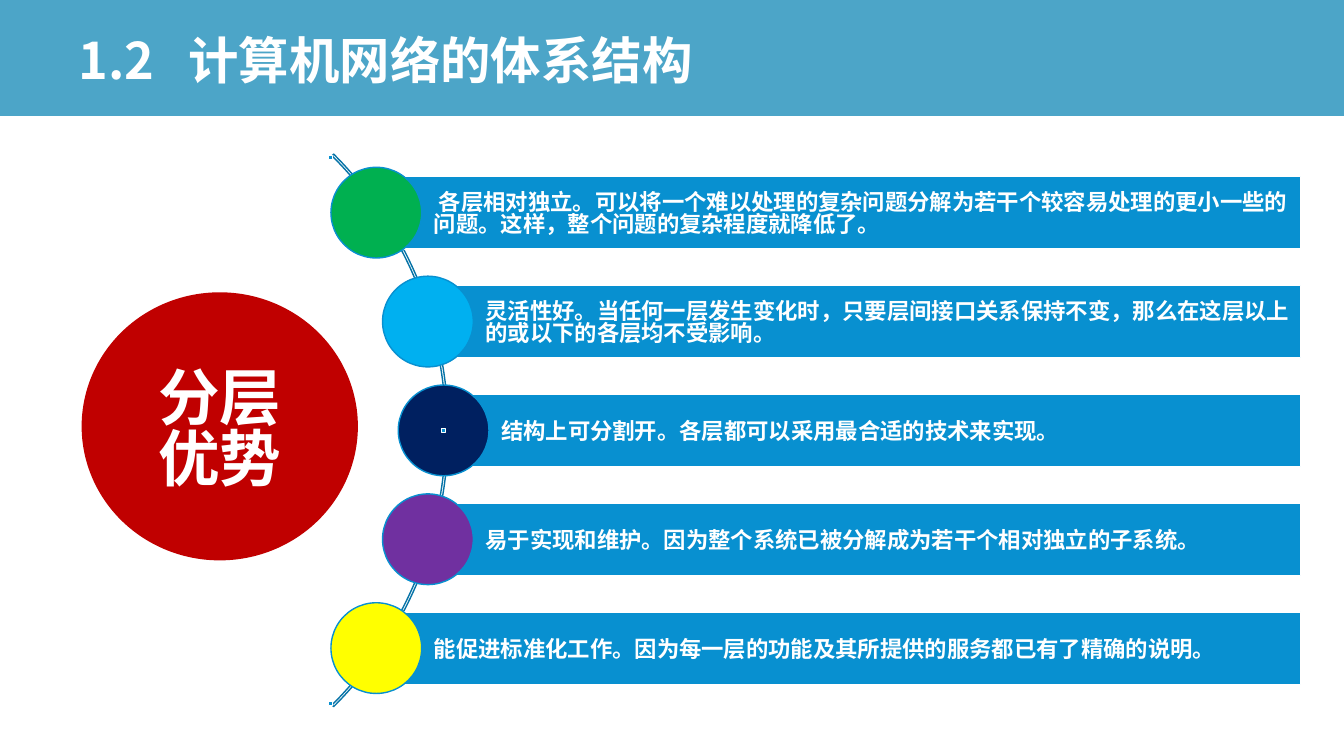
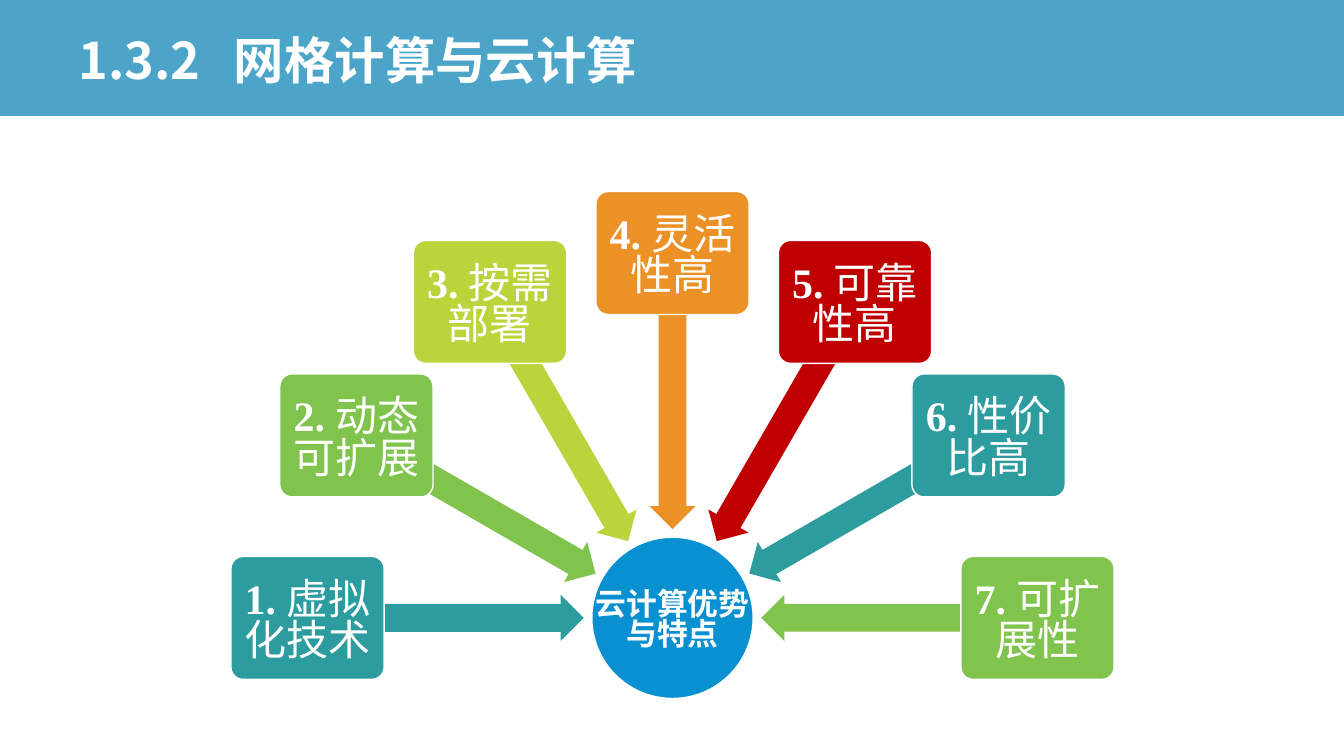
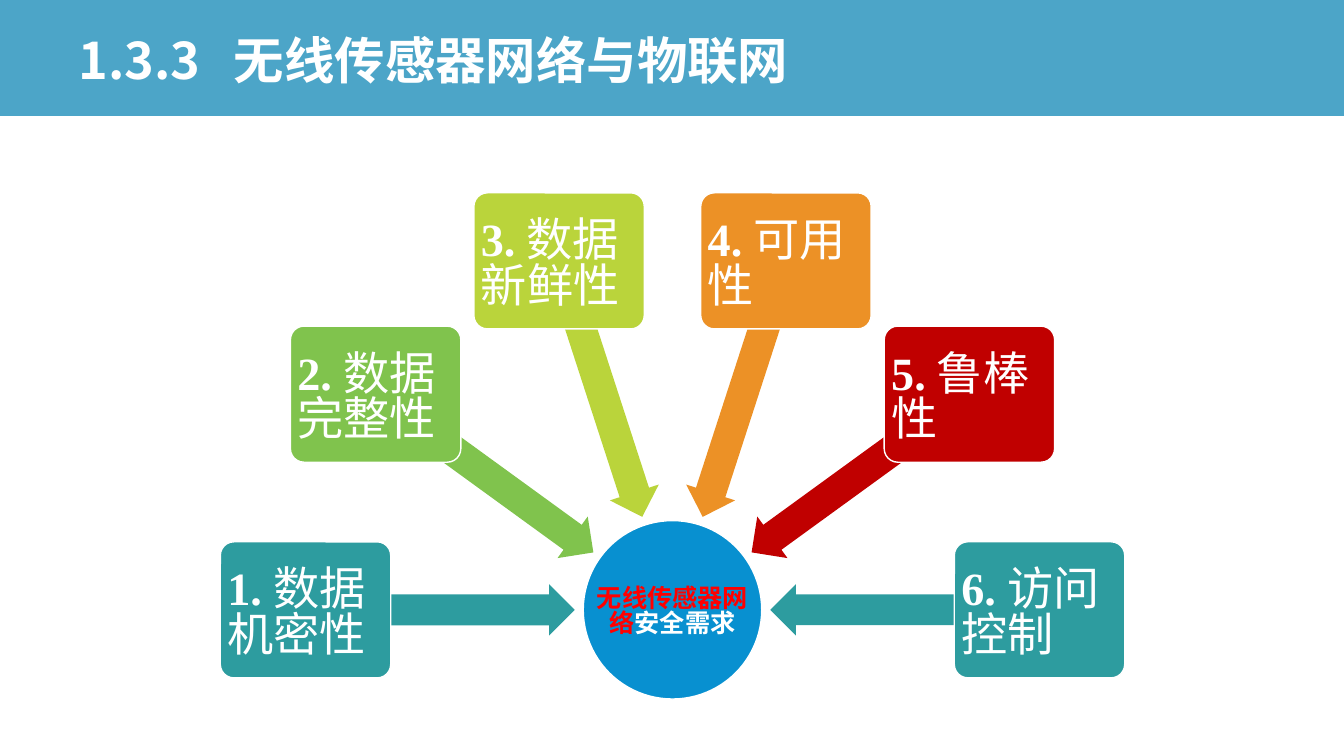
"""Builds three slides on network layering, cloud computing and sensor networks."""
from math import cos, radians, sin, sqrt

from lxml.etree import SubElement
from pptx import Presentation
from pptx.dml.color import RGBColor
from pptx.enum.shapes import MSO_SHAPE as Preset
from pptx.enum.text import MSO_ANCHOR as Anchor, PP_ALIGN as Align
from pptx.oxml.ns import qn
from pptx.util import Inches, Pt

COLORS = {
    "band": "0080B2", "blue": "0890D0", "arc": "0673A7", "white": "FFFFFF",
    "teal": "2D9C9F", "green": "80C34D", "lime": "BAD43B", "orange": "EC9126",
    "crimson": "C00000", "red": "FF0000", "emerald": "00B050", "sky": "00B0F0",
    "navy": "002060", "purple": "7030A0", "yellow": "FFFF00",
}
SERIF, SANS = "Times New Roman", "Noto Sans CJK SC"

ADVANTAGES = [
    (" 各层相对独立。可以将一个难以处理的复杂问题分解为若干个较容易处理的更小一些的问题。这样，整个问题的复杂程度就降低了。", "emerald"),
    ("灵活性好。当任何一层发生变化时，只要层间接口关系保持不变，那么在这层以上的或以下的各层均不受影响。", "sky"),
    ("结构上可分割开。各层都可以采用最合适的技术来实现。", "navy"),
    ("易于实现和维护。因为整个系统已被分解成为若干个相对独立的子系统。", "purple"),
    ("能促进标准化工作。因为每一层的功能及其所提供的服务都已有了精确的说明。", "yellow"),
]
CLOUD_TRAITS = [
    ("虚拟化技术", "teal"), ("动态可扩展", "green"), ("按需部署", "lime"),
    ("灵活性高", "orange"), ("可靠性高", "crimson"), ("性价比高", "teal"),
    ("可扩展性", "green"),
]
SENSOR_NEEDS = [
    ("数据机密性", "teal"), ("数据完整性", "green"), ("数据新鲜性", "lime"),
    ("可用性", "orange"), ("鲁棒性", "crimson"), ("访问控制", "teal"),
]


class Deck:
    """Holds the shared style and the current slide."""

    def __init__(self):
        self.prs = Presentation()
        self.prs.slide_width, self.prs.slide_height = Inches(13.33), Inches(7.5)
        self.slide = None

    def new_slide(self, number, heading):
        self.slide = self.prs.slides.add_slide(self.prs.slide_layouts[6])
        band = self.shape(Preset.RECTANGLE, -0.01, -0.02, 13.35, 1.17, "band")
        tint = next(band._element.spPr.iter(qn("a:srgbClr")))
        SubElement(tint, qn("a:alpha"), val="70000")
        title = self.textbox(0.68, 0.19, 11.98, 0.87)
        line = title.text_frame.paragraphs[0]
        tabs = SubElement(line._p.get_or_add_pPr(), qn("a:tabLst"))
        gap = Inches(0.64 + 0.45 * number.count("."))
        SubElement(tabs, qn("a:tab"), pos=str(gap), algn="l")
        self.label(title, [(f"{number}\t{heading}", "white", True, SANS)], 36,
                   (0.1, 0.05, 0.1, 0.05), spacing=0.9)

    def shape(self, preset, left, top, width, height, fill=None, line=None, adjust=()):
        item = self.slide.shapes.add_shape(
            preset, Inches(left), Inches(top), Inches(width), Inches(height))
        item.shadow.inherit = False
        for index, value in enumerate(adjust):
            item.adjustments[index] = value
        if fill:
            item.fill.solid()
            item.fill.fore_color.rgb = RGBColor.from_string(COLORS[fill])
        else:
            item.fill.background()
        if line:
            item.line.color.rgb = RGBColor.from_string(COLORS[line])
            item.line.width = Pt(1)
        else:
            item.line.fill.background()
        return item

    def centered(self, preset, x, y, width, height, fill, line=None, adjust=()):
        return self.shape(preset, x - width / 2, y - height / 2, width, height,
                          fill, line, adjust)

    def textbox(self, left, top, width, height):
        return self.slide.shapes.add_textbox(
            Inches(left), Inches(top), Inches(width), Inches(height))

    def label(self, item, parts, size, insets, align=Align.LEFT, spacing=0.82):
        frame = item.text_frame
        frame.word_wrap = True
        frame.vertical_anchor = Anchor.MIDDLE
        left, top, right, bottom = insets
        if spacing < 0.9:
            top += 0.003 * size
        frame.margin_left, frame.margin_top = Inches(left), Inches(top)
        frame.margin_right, frame.margin_bottom = Inches(right), Inches(bottom)
        paragraph = frame.paragraphs[0]
        paragraph.alignment = align
        paragraph.line_spacing = spacing
        for text, color, bold, font in parts:
            run = paragraph.add_run()
            run.text = text
            run.font.size = Pt(size)
            run.font.bold = bold
            run.font.name = font
            run.font.color.rgb = RGBColor.from_string(COLORS[color])
            SubElement(run._r.get_or_add_rPr(), qn("a:ea"), typeface=SANS)

    def advantage_list(self, topic, advantages):
        x, y, radius, pitch = 0.57, 4.27, 3.83, 1.08
        self.centered(Preset.BLOCK_ARC, x, y, 7.75, 7.75, None, "arc", (189, 27, 0.003))
        for index, (text, color) in enumerate(advantages):
            drop = (index - (len(advantages) - 1) / 2) * pitch
            left = x + sqrt(radius ** 2 - drop ** 2)
            bar = self.shape(Preset.RECTANGLE, left, y + drop - 0.36, 12.9 - left, 0.72,
                             "blue", "white")
            self.label(bar, [(text, "white", True, SERIF)], 16, (0.57, 0.04, 0.04, 0.04))
            self.centered(Preset.OVAL, left, y + drop, 0.9, 0.9, color, "blue")
        for angle in (-45, 0, 45):
            self.centered(Preset.RECTANGLE, x + radius * cos(radians(angle)),
                          y + radius * sin(radians(angle)), 0.04, 0.04, "blue", "white")
        hub = self.shape(Preset.OVAL, 0.81, 2.9, 2.74, 2.66, "crimson")
        self.label(hub, [(topic, "white", True, SERIF)], 44, (0.1, 0.05, 0.1, 0.05),
                   Align.CENTER)

    def radial(self, y, hub, hub_parts, hub_size, traits, card, card_size, orbit,
               arrow, arrow_orbit, align):
        x = 6.67
        self.centered(Preset.OVAL, x, y, hub, hub, "blue", "white")
        topic = self.textbox(x - hub / 2, y - hub / 2, hub, hub)
        self.label(topic, hub_parts, hub_size, (0.03,) * 4, Align.CENTER)
        for index, (text, color) in enumerate(traits):
            angle = 180 + 180 * index / (len(traits) - 1)
            across, down = cos(radians(angle)), sin(radians(angle))
            pointer = self.centered(Preset.LEFT_ARROW, x + arrow_orbit * across,
                                    y + arrow_orbit * down, *arrow, color,
                                    adjust=(0.6, 0.5))
            pointer.rotation = angle % 360
            trait = self.centered(Preset.ROUNDED_RECTANGLE, x + orbit * across,
                                  y + orbit * down, *card, color, "white", (0.1,))
            self.label(trait, [(f"{index + 1}.", "white", True, SERIF),
                               (text, "white", False, SERIF)],
                       card_size, (0.03,) * 4, align)


def main():
    deck = Deck()
    deck.new_slide("1.2", "计算机网络的体系结构")
    deck.advantage_list("分层优势", ADVANTAGES)

    deck.new_slide("1.3.2", "网格计算与云计算")
    deck.radial(6.13, 1.6, [("云计算优势与特点", "white", True, SERIF)], 22,
                CLOUD_TRAITS, (1.52, 1.22), 30, 3.62, (2.66, 0.46), 2.21, Align.CENTER)

    deck.new_slide("1.3.3", "无线传感器网络与物联网")
    deck.radial(6.05, 1.77, [("无线传感器网络", "red", True, SANS),
                             ("安全需求", "white", True, SERIF)], 18,
                SENSOR_NEEDS, (1.69, 1.35), 33, 3.64, (2.6, 0.51), 2.27, Align.LEFT)
    deck.prs.save("out.pptx")


if __name__ == "__main__":
    main()
